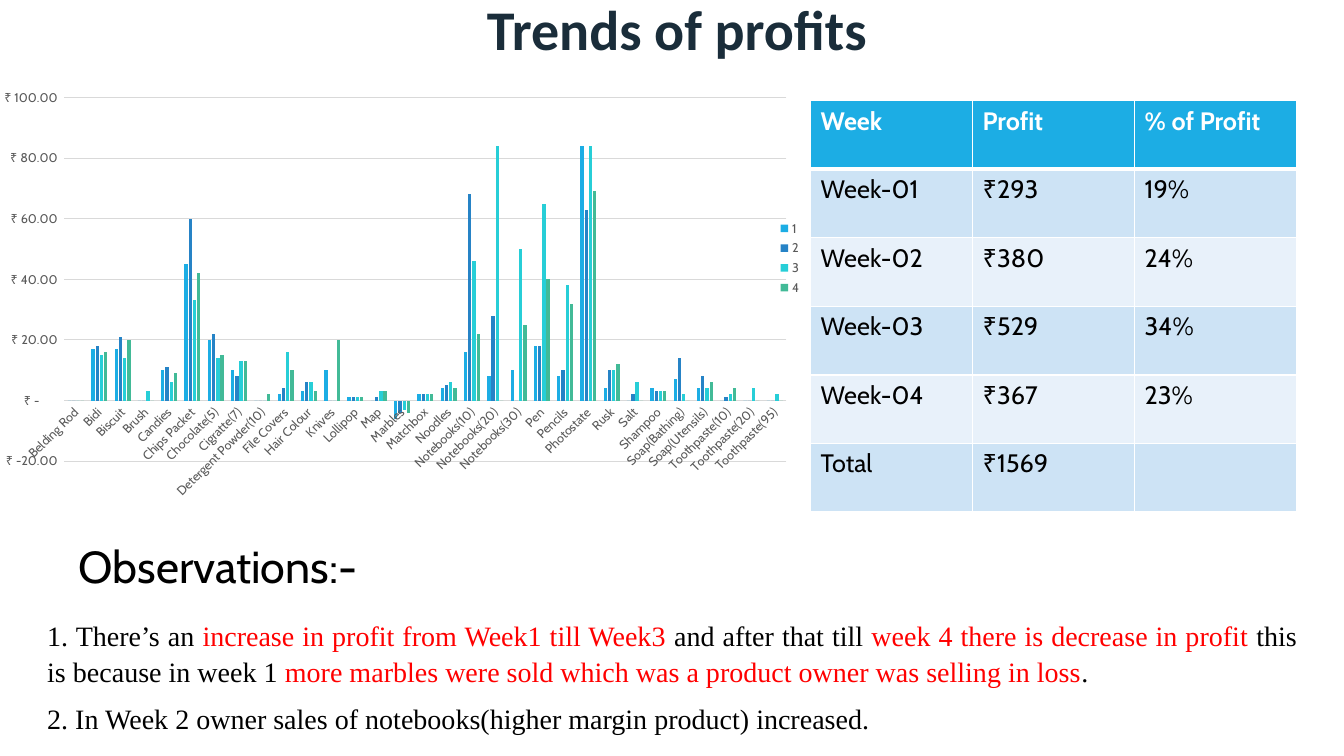
from dataclasses import dataclass

from lxml import etree
from pptx import Presentation, util as u
from pptx.chart.data import CategoryChartData
from pptx.dml.color import RGBColor
from pptx.enum import chart as ch, text
from pptx.oxml.ns import qn

Inches, Pt = u.Inches, u.Pt


@dataclass(frozen=True)
class Theme:
    title: str = "1A2D3A"
    ink: str = "000000"
    accent: str = "FF0000"
    white: str = "FFFFFF"
    header: str = "1CADE4"
    bands: tuple = ("CDE3F5", "E8F1FA")
    series: tuple = ("1CADE4", "2683C6", "27CED7", "42BA97")
    axis_text: str = "595959"
    grid: str = "D9D9D9"
    title_font: str = "Calibri"
    font: str = "Cabin"
    body_font: str = "Times New Roman"
    title_size: int = 40
    heading_size: int = 32
    body_size: int = 20
    table_size: int = 18
    chart_size: int = 9


T = Theme()

# Weekly profit for each product
PROFITS = [
    ("Belding Rod", 0, 0, 0, 0),
    ("Bidi", 17, 18, 15, 16),
    ("Biscuit", 17, 21, 14, 20),
    ("Brush", 0, 0, 3, 0),
    ("Candies", 10, 11, 6, 9),
    ("Chips Packet", 45, 60, 33, 42),
    ("Chocolate(5)", 20, 22, 14, 15),
    ("Cigratte(7)", 10, 8, 13, 13),
    ("Detergent Powder(10)", 0, 0, 0, 2),
    ("File Covers", 2, 4, 16, 10),
    ("Hair Colour", 3, 6, 6, 3),
    ("Knives", 10, 0, 0, 20),
    ("Lollipop", 1, 1, 1, 1),
    ("Map", 0, 1, 3, 3),
    ("Marbles", -6, -4, -3, -4),
    ("Matchbox", 2, 2, 2, 2),
    ("Noodles", 4, 5, 6, 4),
    ("Notebooks(10)", 16, 68, 46, 22),
    ("Notebooks(20)", 8, 28, 84, 0),
    ("Notebooks(30)", 10, 0, 50, 25),
    ("Pen", 18, 18, 65, 40),
    ("Pencils", 8, 10, 38, 32),
    ("Photostate", 84, 63, 84, 69),
    ("Rusk", 4, 10, 10, 12),
    ("Salt", 0, 2, 6, 0),
    ("Shampoo", 4, 3, 3, 3),
    ("Soap(Bathing)", 7, 14, 2, 0),
    ("Soap(Utensils)", 4, 8, 4, 6),
    ("Toothpaste(10)", 0, 1, 2, 4),
    ("Toothpaste(20)", 0, 0, 4, 0),
    ("Toothpaste(95)", 0, 0, 2, 0),
]
RUPEES = ('_ [$₹-4009]\\ * #,##0.00_ ;_ [$₹-4009]\\ * -#,##0.00_ ;'
          '_ [$₹-4009]\\ * "-"??_ ;_ @_ ')

SUMMARY = [
    ("Week", "Profit", "% of Profit"),
    ("Week-01", "₹293", "19%"),
    ("Week-02", "₹380", "24%"),
    ("Week-03", "₹529", "34%"),
    ("Week-04", "₹367", "23%"),
    ("Total", "₹1569", ""),
]

# Each observation is a list of (wording, is highlighted)
OBSERVATIONS = [
    [("1. There’s an ", False),
     ("increase in profit from Week1 till Week3 ", True),
     ("and after that till ", False),
     ("week 4 there is decrease in profit", True),
     (" this is because in week 1 ", False),
     ("more marbles were sold which was a product owner was selling in loss", True),
     (".", False)],
    [("2. In Week 2 owner sales of notebooks(higher margin product) increased.", False)],
]


def rgb(value):
    return RGBColor.from_string(value)


def set_font(font, name, size, color, bold=False):
    font.name, font.size, font.bold = name, Pt(size), bold
    font.color.rgb = rgb(color)


def place(sp, left, top, width, height):
    sp.left, sp.top = Inches(left), Inches(top)
    sp.width, sp.height = Inches(width), Inches(height)


def add_title(slide, wording):
    sp = slide.shapes.title
    place(sp, 4.73, -0.15, 5, 0.79)
    tf = sp.text_frame
    tf.auto_size = text.MSO_AUTO_SIZE.NONE
    tf.vertical_anchor = text.MSO_ANCHOR.TOP
    tf.text = wording
    p = tf.paragraphs[0]
    p.alignment, p.line_spacing, p.space_before = text.PP_ALIGN.LEFT, 1.07, Pt(0)
    set_font(p.font, T.title_font, T.title_size, T.title, True)


def add_text_box(slide, left, top, width, height):
    tf = slide.shapes.add_textbox(
        Inches(left), Inches(top), Inches(width), Inches(height)).text_frame
    tf.word_wrap = True
    return tf


def add_heading(slide, wording):
    tf = add_text_box(slide, 0.68, 5.3, 3, 0.64)
    tf.text = wording
    set_font(tf.paragraphs[0].font, T.font, T.heading_size, T.ink)


def add_observations(slide, observations):
    tf = add_text_box(slide, 0.37, 6.06, 12.59, 1.44)
    for i, parts in enumerate(observations):
        p = tf.add_paragraph() if i else tf.paragraphs[0]
        p.alignment, p.line_spacing, p.space_after = text.PP_ALIGN.JUSTIFY, 1.07, Pt(8)
        set_font(p.font, T.body_font, T.body_size, T.ink)
        for wording, highlighted in parts:
            r = p.add_run()
            r.text = wording
            set_font(r.font, T.body_font, T.body_size, T.accent if highlighted else T.ink)


def set_plot_layout(chart, **fractions):
    area = chart._chartSpace.chart.plotArea
    for old in area.findall(qn("c:layout")):
        area.remove(old)
    layout = etree.Element(qn("c:layout"))
    area.insert(0, layout)
    manual = etree.SubElement(layout, qn("c:manualLayout"))
    settings = {"layoutTarget": "inner", "xMode": "edge", "yMode": "edge", **fractions}
    for name, value in settings.items():
        etree.SubElement(manual, qn(f"c:{name}")).set("val", str(value))


def style_axes(chart):
    cat, val = chart.category_axis, chart.value_axis
    for axis in (cat, val):
        axis.major_tick_mark = axis.minor_tick_mark = ch.XL_TICK_MARK.NONE
        set_font(axis.tick_labels.font, T.font, T.chart_size, T.axis_text)
    val.minimum_scale, val.maximum_scale, val.major_unit = -20, 100, 20
    val.tick_labels.number_format = RUPEES
    val.tick_labels.number_format_is_linked = False
    val.format.line.fill.background()
    for line in (cat.format.line, val.major_gridlines.format.line):
        line.color.rgb, line.width = rgb(T.grid), Pt(0.75)
    # Slant the product names by 45 degrees
    cat._element.find(qn("c:txPr")).find(qn("a:bodyPr")).set("rot", "-2700000")


def add_profit_chart(slide):
    names, *weeks = zip(*PROFITS)
    data = CategoryChartData()
    data.categories = names
    for number, values in enumerate(weeks, 1):
        data.add_series(str(number), values)
    chart = slide.shapes.add_chart(
        ch.XL_CHART_TYPE.COLUMN_CLUSTERED, Inches(-1.18), Inches(-0.15),
        Inches(9.23), Inches(5.42), data).chart
    set_font(chart.font, T.font, 10, T.ink)
    chart.has_title = False
    chart.has_legend = True
    chart.legend.position = ch.XL_LEGEND_POSITION.RIGHT
    chart.legend.include_in_layout = False
    set_font(chart.legend.font, T.font, T.chart_size, T.axis_text)
    plot = chart.plots[0]
    plot.gap_width, plot.overlap, plot.vary_by_categories = 219, -27, False
    for series, color in zip(plot.series, T.series):
        series.invert_if_negative = False
        series.format.fill.solid()
        series.format.fill.fore_color.rgb = rgb(color)
    style_axes(chart)
    set_plot_layout(chart, x=0.197, y=0.206, w=0.776, h=0.666)


def set_borders(cell, bottom):
    for side, width in (("L", 1), ("R", 1), ("T", 1), ("B", bottom)):
        ln = etree.SubElement(cell._tc.get_or_add_tcPr(), qn(f"a:ln{side}"), w=str(Pt(width)))
        fill = etree.SubElement(ln, qn("a:solidFill"))
        etree.SubElement(fill, qn("a:srgbClr"), val=T.white)


def add_summary_table(slide, rows):
    table = slide.shapes.add_table(
        len(rows), len(rows[0]), Inches(8.04), Inches(1), Inches(4.82), Inches(4.08)).table
    for i, row in enumerate(rows):
        header = i == 0
        for j, wording in enumerate(row):
            cell = table.cell(i, j)
            cell.text = wording
            set_font(cell.text_frame.paragraphs[0].font, T.font, T.table_size,
                     T.white if header else T.ink, header)
            set_borders(cell, 3 if header else 1)
            cell.fill.solid()
            cell.fill.fore_color.rgb = rgb(T.header if header else T.bands[(i - 1) % 2])


def main():
    prs = Presentation()
    prs.slide_width, prs.slide_height = Inches(13.33), Inches(7.5)
    slide = prs.slides.add_slide(prs.slide_layouts[5])
    add_observations(slide, OBSERVATIONS)
    add_title(slide, "Trends of profits")
    add_profit_chart(slide)
    add_summary_table(slide, SUMMARY)
    add_heading(slide, "Observations:-")
    prs.save("out.pptx")


if __name__ == "__main__":
    main()
